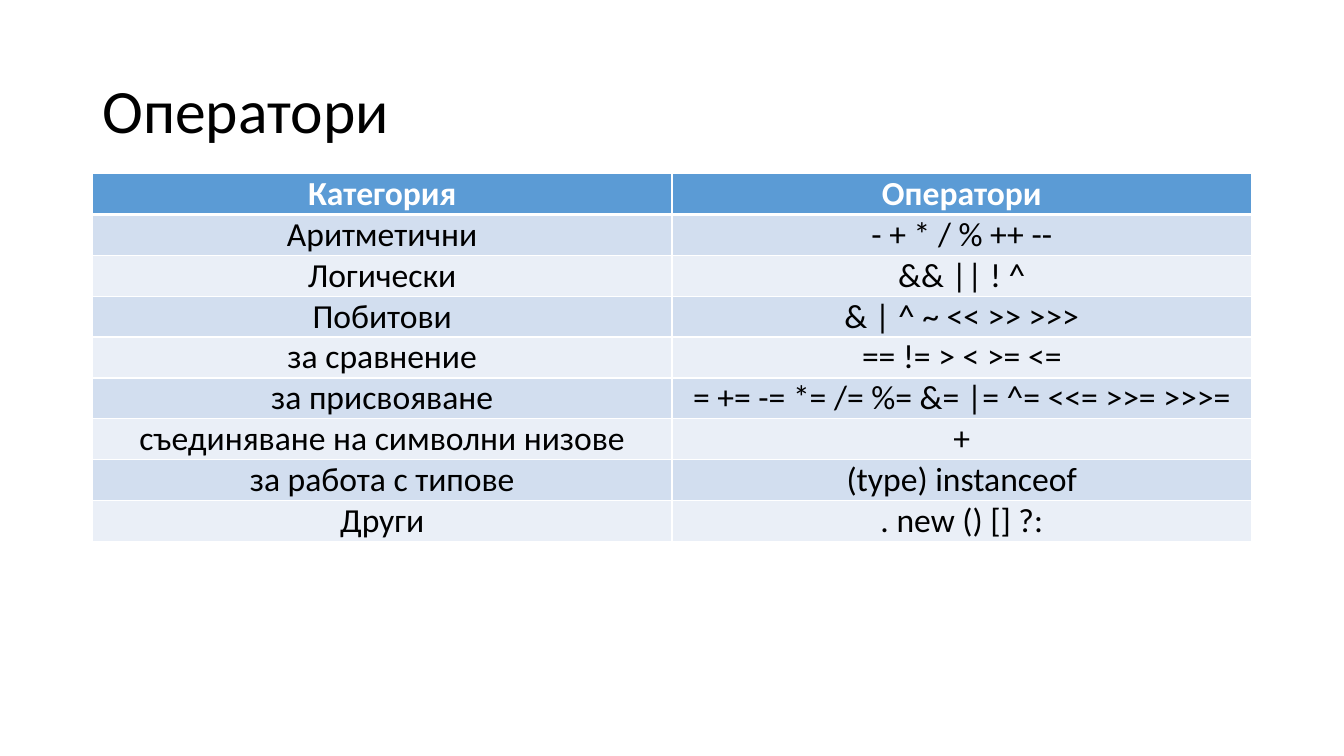
from pptx import Presentation, util as u
from pptx.dml.color import RGBColor
from pptx.enum import text as t
from pptx.oxml import parse_xml
from pptx.oxml.ns import nsdecls

# Content
TITLE = "Оператори"
ROWS = [
    ("Категория", "Оператори"),
    ("Аритметични", "- + * / % ++ --"),
    ("Логически", "&& || ! ^"),
    ("Побитови", "& | ^ ~ << >> >>>"),
    ("за сравнение", "== != > < >= <="),
    ("за присвояване", "= += -= *= /= %= &= |= ^= <<= >>= >>>="),
    ("съединяване на символни низове", "+"),
    ("за работа с типове", "(type) instanceof"),
    ("Други", ". new () [] ?:"),
]
HEX = {"head": "5B9BD5", "odd": "D2DEEF", "even": "EAEFF7",
       "white": "FFFFFF", "black": "000000"}
FONT = "Calibri"
LEFT, WIDTH = 66, 828
TOP, ROW_H = 124, 29.2


def style(par, size, color, bold=False):
    font = par.font
    font.name, font.size, font.bold = FONT, u.Pt(size), bold
    font.color.rgb = RGBColor.from_string(HEX[color])


def border(cell, side, width):
    cell._tc.get_or_add_tcPr().append(parse_xml(
        f'<a:ln{side} {nsdecls("a")} w="{u.Pt(width)}"><a:solidFill>'
        f'<a:srgbClr val="{HEX["white"]}"/></a:solidFill></a:ln{side}>'))


def fill_cell(cell, row, words):
    head = row == 0
    cell.text = words
    cell.vertical_anchor = t.MSO_ANCHOR.MIDDLE
    cell.margin_left = cell.margin_right = u.Pt(5)
    cell.margin_top = cell.margin_bottom = 0
    par = cell.text_frame.paragraphs[0]
    par.alignment = t.PP_ALIGN.CENTER
    par.space_before = par.space_after = u.Pt(3)
    style(par, 24, "white" if head else "black", head)
    # The rule under the header is thicker
    for side in "LRTB":
        thick = (row, side) in ((0, "B"), (1, "T"))
        border(cell, side, 3 if thick else 1)
    tone = "head" if head else "odd" if row % 2 else "even"
    cell.fill.solid()
    cell.fill.fore_color.rgb = RGBColor.from_string(HEX[tone])


deck = Presentation()
deck.slide_width, deck.slide_height = u.Pt(960), u.Pt(540)
slide = deck.slides.add_slide(deck.slide_layouts[6])

# Title
box = slide.shapes.add_textbox(u.Pt(LEFT), u.Pt(28.8), u.Pt(WIDTH), u.Pt(104.4))
frame = box.text_frame
frame.word_wrap = True
frame.vertical_anchor = t.MSO_ANCHOR.MIDDLE
frame.text = TITLE
frame.paragraphs[0].line_spacing = 0.9
style(frame.paragraphs[0], 44, "black")

# Table of operators
table = slide.shapes.add_table(
    len(ROWS), 2, u.Pt(LEFT), u.Pt(TOP),
    u.Pt(WIDTH), u.Pt(ROW_H * len(ROWS))).table
for row, pair in enumerate(ROWS):
    table.rows[row].height = u.Pt(ROW_H)
    for col, words in enumerate(pair):
        fill_cell(table.cell(row, col), row, words)

deck.save("out.pptx")
